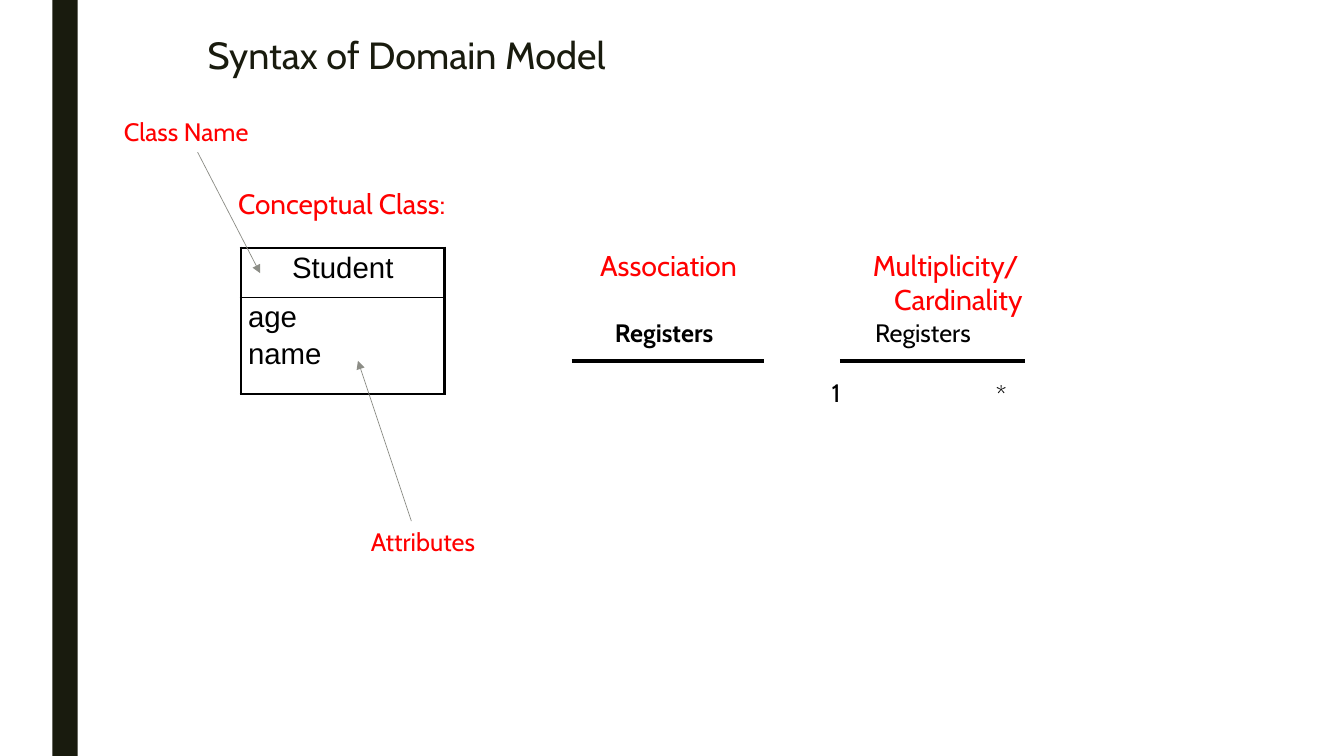
from dataclasses import dataclass

from pptx import Presentation
from pptx.dml.color import RGBColor
from pptx.enum.shapes import MSO_CONNECTOR, MSO_SHAPE
from pptx.enum.text import MSO_ANCHOR, MSO_AUTO_SIZE, PP_ALIGN
from pptx.oxml.ns import qn
from pptx.util import Inches, Pt
from lxml.etree import SubElement


@dataclass(frozen=True)
class Theme:
    ink: str = "191B0E"
    black: str = "000000"
    red: str = "FF0000"
    gray: str = "8C8D86"
    font: str = "Cabin"
    table_font: str = "Arial"
    title_size: float = 27
    class_size: float = 21
    heading_size: float = 20.4
    body_size: float = 20
    label_size: float = 18


theme = Theme()


def write(para, text, size, color, font=theme.font, bold=False, hanging=None, **layout):
    """Fill a paragraph; hanging is its (left margin, first-line indent) in inches."""
    properties = para._p.get_or_add_pPr()
    if hanging:
        for name, length in zip(("marL", "indent"), hanging):
            properties.set(name, str(Inches(length)))
        SubElement(properties, qn("a:buNone"))
    for name, value in layout.items():
        setattr(para, name, value)
    span = para.add_run()
    span.text = text
    for name, value in {"name": font, "size": Pt(size), "bold": bold}.items():
        setattr(span.font, name, value)
    span.font.color.rgb = RGBColor.from_string(color)


def place(box, left, top, width, height):
    """Position a text shape, wrap its text and start it at the top."""
    position = {"left": left, "top": top, "width": width, "height": height}
    for name, length in position.items():
        setattr(box, name, Inches(length))
    frame = box.text_frame
    frame.word_wrap = True
    frame.auto_size = MSO_AUTO_SIZE.NONE
    frame.vertical_anchor = MSO_ANCHOR.TOP
    return frame.paragraphs[0]


deck = Presentation()
deck.slide_width = Inches(13.33)
deck.slide_height = Inches(7.5)
page = deck.slides.add_slide(deck.slide_layouts[1])
shapes = page.shapes

# Side bar
bar = shapes.add_shape(MSO_SHAPE.RECTANGLE, Inches(0.52), 0, Inches(0.25), deck.slide_height)
bar.shadow.inherit = False
bar.fill.solid()
bar.fill.fore_color.rgb = RGBColor.from_string(theme.ink)
bar.line.fill.background()

# Title and class heading
write(place(shapes.title, 1.96, 0.32, 8.38, 1.17), "Syntax of Domain Model",
      theme.title_size, theme.ink, alignment=PP_ALIGN.LEFT, line_spacing=0.89)
write(place(page.placeholders[1], 1.83, 1.83, 3.12, 0.62), "Conceptual Class:",
      theme.body_size, theme.red, hanging=(0.42, -0.42), alignment=PP_ALIGN.CENTER,
      line_spacing=0.94, space_before=Pt(0), space_after=Pt(2))

# Student class
student = shapes.add_table(2, 1, Inches(2.39), Inches(2.46), Inches(2.02), Inches(1.45)).table
student.first_row = student.horz_banding = False
compartments = [
    (0.49, ["Student"], PP_ALIGN.CENTER, {"lnL": 2.25, "lnR": 2.25, "lnT": 2.25, "lnB": 1}),
    (0.96, ["age", "name"], PP_ALIGN.LEFT, {"lnL": 2.25, "lnR": 2.25, "lnT": 1, "lnB": 2.25}),
]
for row, (height, lines, alignment, borders) in enumerate(compartments):
    student.rows[row].height = Inches(height)
    cell = student.cell(row, 0)
    cell.margin_left = cell.margin_right = Inches(0.07)
    cell.margin_top = cell.margin_bottom = Inches(0.04)
    for side, weight in borders.items():
        border = SubElement(cell._tc.get_or_add_tcPr(), qn(f"a:{side}"), w=str(Pt(weight)))
        SubElement(SubElement(border, qn("a:solidFill")), qn("a:srgbClr"), val=theme.black)
    cell.fill.background()
    for index, line in enumerate(lines):
        para = cell.text_frame.add_paragraph() if index else cell.text_frame.paragraphs[0]
        write(para, line, theme.class_size, theme.black, theme.table_font,
              alignment=alignment, space_before=Pt(3 if index else 0))

# Association and multiplicity headings
for text, left, width in [("Association", 5.69, 1.75), ("Multiplicity/Cardinality", 7.83, 2.97)]:
    box = shapes.add_textbox(0, 0, 0, 0)
    write(place(box, left, 2.41, width, 0.62), text, theme.heading_size, theme.red,
          hanging=(0.38, -0.25), alignment=PP_ALIGN.CENTER)

# Labels
labels = [
    ("Registers", 6, 3.1, 1.25, theme.black, True),
    ("Registers", 8.58, 3.1, 1.25, theme.black, False),
    ("1", 8.15, 3.69, 0.56, theme.black, False),
    ("*", 9.78, 3.71, 0.56, theme.black, False),
    ("Attributes", 3.58, 5.17, 1.67, theme.red, False),
    ("Class Name", 1.13, 1.11, 1.67, theme.red, False),
]
for text, left, top, width, color, bold in labels:
    box = shapes.add_textbox(0, 0, 0, 0)
    write(place(box, left, top, width, 0.4), text, theme.label_size, color, bold=bold)

# Association lines and pointer arrows
connectors = [
    (5.67, 3.58, 7.58, 3.58, theme.black, 3.25, False),
    (8.33, 3.58, 10.17, 3.58, theme.black, 3.25, False),
    (4.08, 5.17, 3.55, 3.58, theme.gray, 0.5, True),
    (1.96, 1.51, 2.58, 2.71, theme.gray, 0.5, True),
]
for *ends, color, weight, arrow in connectors:
    connector = shapes.add_connector(MSO_CONNECTOR.STRAIGHT, *map(Inches, ends))
    connector.line.color.rgb = RGBColor.from_string(color)
    connector.line.width = Pt(weight)
    if arrow:
        SubElement(connector.line._get_or_add_ln(), qn("a:tailEnd"), type="triangle")
    SubElement(connector._element.spPr, qn("a:effectLst"))

deck.save("out.pptx")
